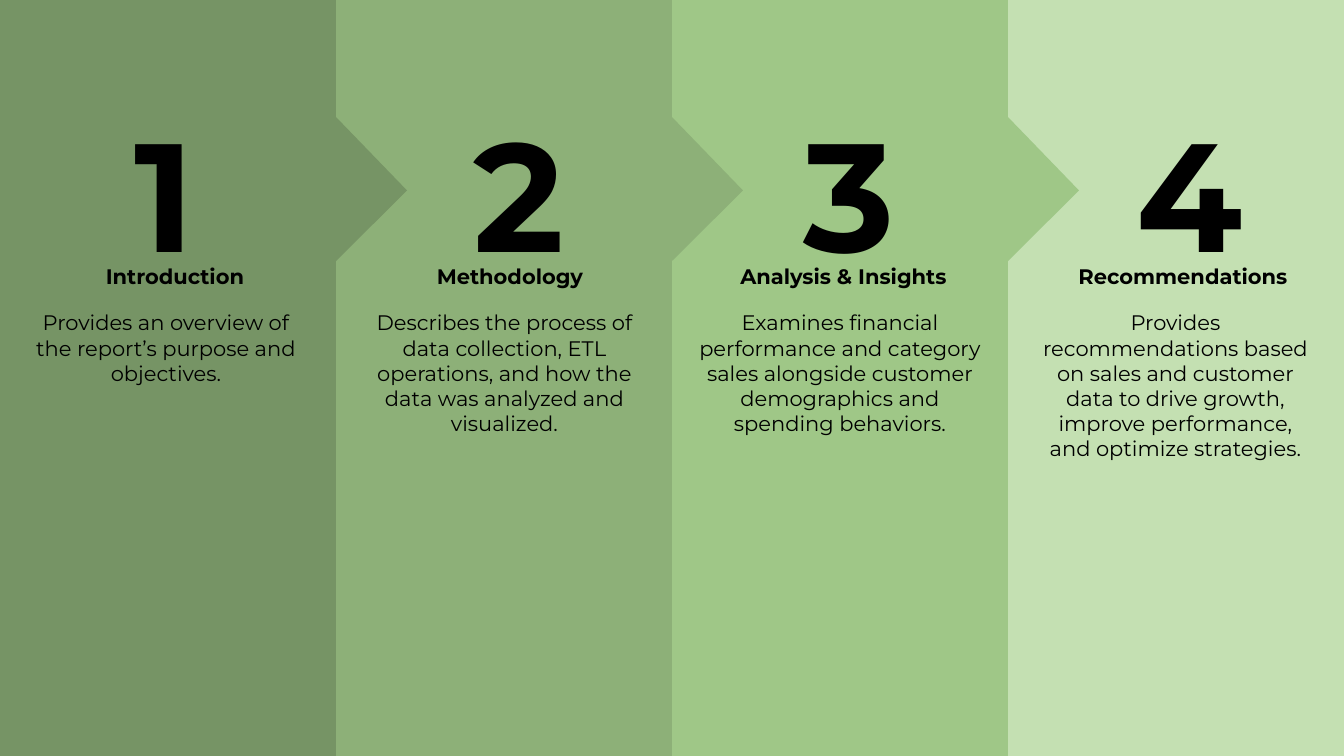
from pptx import Presentation
from pptx.dml.color import RGBColor
from pptx.enum.shapes import MSO_SHAPE as Shape
from pptx.enum.text import MSO_AUTO_SIZE as Fit, PP_ALIGN as Align
from pptx.util import Emu, Pt

BLACK = RGBColor(0x00, 0x00, 0x00)
MOSS = RGBColor(0x76, 0x94, 0x65)
SAGE = RGBColor(0x8D, 0xB0, 0x78)
LEAF = RGBColor(0x9F, 0xC7, 0x87)
MINT = RGBColor(0xC4, 0xE0, 0xB2)
FONT = "Montserrat"

# Each span is (left, width); body adds its height.
STEPS = [
    dict(fill=MOSS, head="Introduction",
         text="Provides an overview of the report’s purpose and objectives.",
         num_at=(125, 77), head_at=(94, 162), text_at=(20, 292), tall=87),
    dict(fill=SAGE, head="Methodology",
         text="Describes the process of data collection, ETL operations, "
              "and how the data was analyzed and visualized.",
         num_at=(464, 71), head_at=(424, 172), text_at=(360, 289), tall=137),
    dict(fill=LEAF, head="Analysis & Insights",
         text="Examines financial performance and category sales alongside "
              "customer demographics and spending behaviors.",
         num_at=(794, 108), head_at=(723, 241), text_at=(681, 318), tall=137),
    dict(fill=MINT, head="Recommendations",
         text="Provides recommendations based on sales and customer data to "
              "drive growth, improve performance, and optimize strategies.",
         num_at=(1127, 95), head_at=(1004, 358), text_at=(1028, 295), tall=163),
]
WIDE, HIGH = 1344, 756
COL = WIDE // len(STEPS)
TIP_W, TIP_H, TIP_Y = 146, 72, 153


def px(num):
    """Turn px into EMU."""
    return Emu(round(num * 914400 / 100.8))


def add_block(group, kind, box, fill):
    """Add a plain filled shape."""
    shape = group.shapes.add_shape(kind, *map(px, box))
    shape.shadow.inherit = False
    shape.fill.solid()
    shape.fill.fore_color.rgb = fill
    shape.line.fill.background()
    return shape


def add_text(group, text, span, top, tall, size, bold, align):
    """Add one text box."""
    left, wide = span
    frame = group.shapes.add_textbox(*map(px, (left, top, wide, tall))).text_frame
    frame.word_wrap = True
    frame.auto_size = Fit.SHAPE_TO_FIT_TEXT
    frame.text = text
    para = frame.paragraphs[0]
    para.alignment = align
    font = para.runs[0].font
    font.name, font.size, font.bold = FONT, Pt(size), bold
    font.color.rgb = BLACK


def add_step(slide, idx, step):
    """Add one column with its number, texts and pointer."""
    group = slide.shapes.add_group_shape()
    add_block(group, Shape.RECTANGLE, (idx * COL, 0, COL, HIGH), step["fill"])
    add_text(group, str(idx + 1), step["num_at"], 94, 197, 110, True, Align.LEFT)
    add_text(group, step["head"], step["head_at"], 259, 35, 15, True, Align.CENTER)
    add_text(group, step["text"], step["text_at"], 305, step["tall"], 15, False,
             Align.CENTER)
    if idx < len(STEPS) - 1:
        left = (idx + 1) * COL + (TIP_H - TIP_W) / 2 - 1
        tip = add_block(group, Shape.ISOSCELES_TRIANGLE,
                        (left, TIP_Y, TIP_W, TIP_H), step["fill"])
        tip.rotation = 90
        tip.adjustments[0] = 0.51


def main():
    """Build the slide."""
    deck = Presentation()
    deck.slide_width, deck.slide_height = px(WIDE), px(HIGH)
    slide = deck.slides.add_slide(deck.slide_layouts[6])
    for idx, step in reversed(list(enumerate(STEPS))):
        add_step(slide, idx, step)
    deck.save("out.pptx")


if __name__ == "__main__":
    main()
